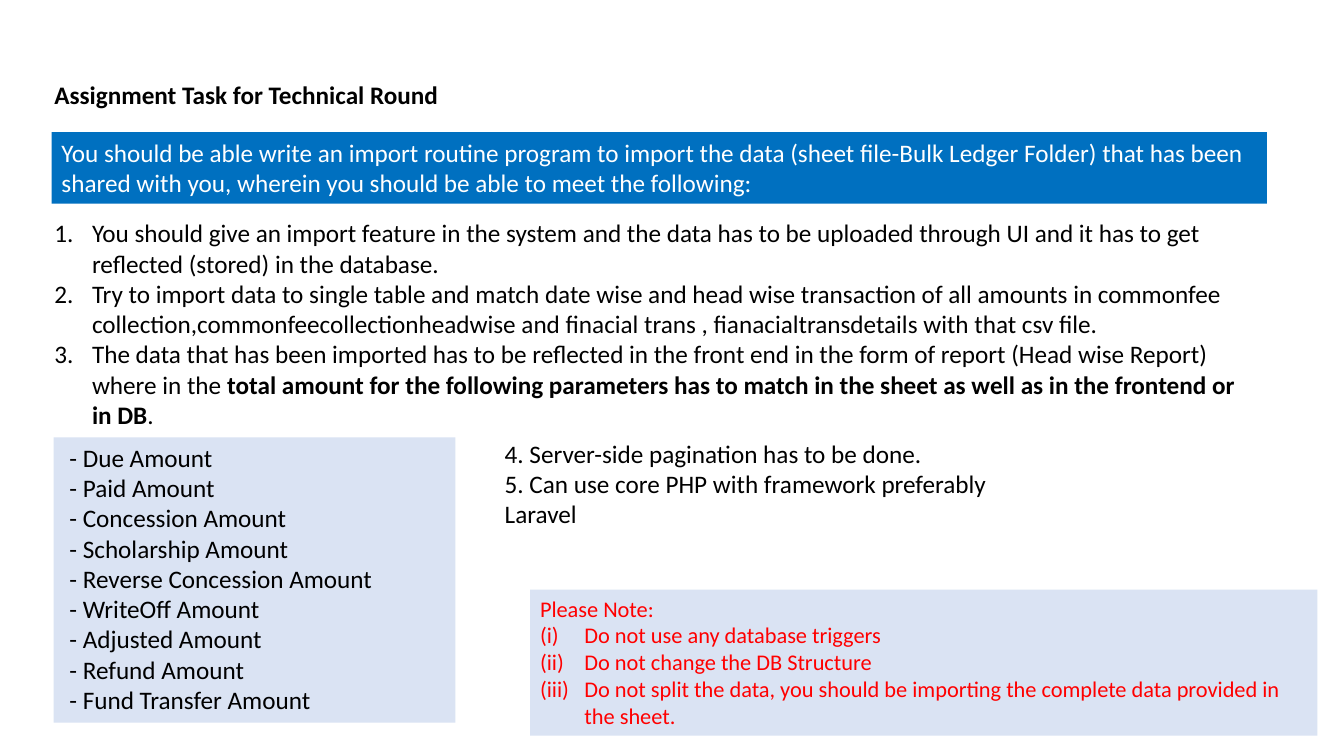
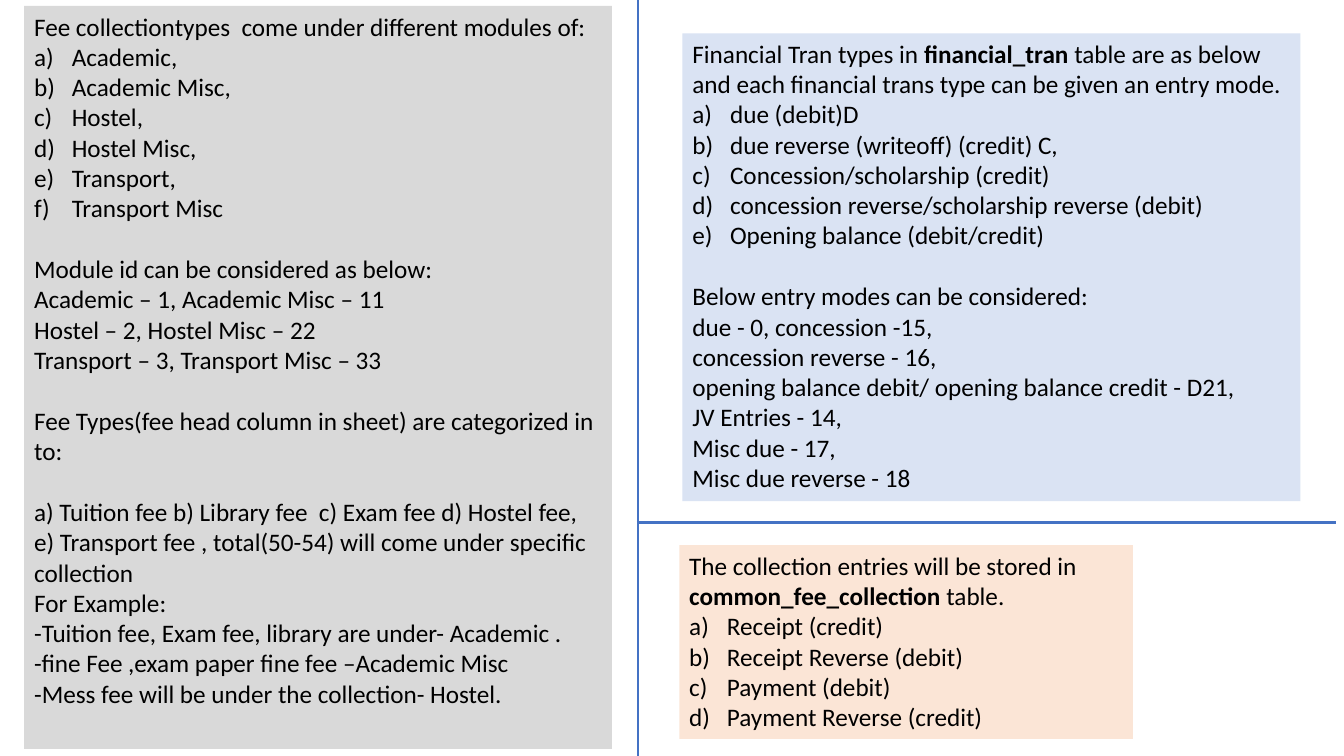
"""Build the two slides of the technical round assignment."""
from dataclasses import dataclass

from lxml.etree import SubElement
from pptx import Presentation
from pptx.dml.color import RGBColor as Color
from pptx.enum.shapes import MSO_CONNECTOR as Connector, MSO_SHAPE as Preset
from pptx.enum.text import MSO_ANCHOR as Anchor, PP_ALIGN as Align
from pptx.oxml.ns import qn
from pptx.util import Cm, Pt


@dataclass(frozen=True)
class Theme:
    """Colours, font and type sizes shared by the slides."""

    font: str = "Calibri"
    body: Pt = Pt(18)
    note: Pt = Pt(16)
    section_gap: Pt = Pt(22)
    rule_width: Pt = Pt(2)
    black: Color = Color(0x00, 0x00, 0x00)
    white: Color = Color(0xFF, 0xFF, 0xFF)
    red: Color = Color(0xFF, 0x00, 0x00)
    blue: Color = Color(0x00, 0x70, 0xC0)
    rule: Color = Color(0x44, 0x72, 0xC4)
    pale_blue: Color = Color(0xDA, 0xE3, 0xF3)
    grey: Color = Color(0xD9, 0xD9, 0xD9)
    peach: Color = Color(0xFB, 0xE5, 0xD6)


theme = Theme()
NUMBERS, LETTERS, ROMAN = "arabicPeriod", "alphaLcParenR", "romanLcParenBoth"
HANGING = {NUMBERS: Cm(0.95), LETTERS: Cm(0.95), ROMAN: Cm(1.12)}


def write_paragraph(paragraph, text, color, size, numbering):
    """Write text whose **marked** parts are bold, numbered if asked."""
    paragraph.alignment = Align.LEFT
    for index, part in enumerate(text.split("**")):
        if part:
            run = paragraph.add_run()
            run.text = part
            run.font.name, run.font.size = theme.font, size
            run.font.bold = index % 2 == 1
            run.font.color.rgb = color
    if numbering:
        properties = paragraph._p.get_or_add_pPr()
        properties.set("marL", str(HANGING[numbering]))
        properties.set("indent", str(-HANGING[numbering]))
        SubElement(properties, qn("a:buAutoNum"), type=numbering)


def add_panel(slide, box, blocks, fill=None, color=theme.black, size=theme.body):
    """Add a text panel from (numbering, gap before, lines) blocks."""
    place = [Cm(length) for length in box]
    if fill is None:
        shape = slide.shapes.add_textbox(*place)
    else:
        shape = slide.shapes.add_shape(Preset.RECTANGLE, *place)
        shape.shadow.inherit = False
        shape.fill.solid()
        shape.fill.fore_color.rgb = fill
        shape.line.fill.background()
    frame = shape.text_frame
    frame.word_wrap = True
    frame.vertical_anchor = Anchor.TOP
    paragraph = frame.paragraphs[0]
    for numbering, gap, lines in blocks:
        for index, line in enumerate(lines):
            if paragraph is None:
                paragraph = frame.add_paragraph()
            if gap and index == 0:
                paragraph.space_before = theme.section_gap
            write_paragraph(paragraph, line, color, size, numbering)
            paragraph = None
    return shape


presentation = Presentation()
presentation.slide_width, presentation.slide_height = Cm(33.87), Cm(19.05)
blank = presentation.slide_layouts[6]

task_slide = presentation.slides.add_slide(blank)
add_panel(task_slide, (1.12, 1.88, 27.56, 1.02), [
    (None, False, ["**Assignment Task for Technical Round**"]),
])
add_panel(task_slide, (13.36, 14.86, 19.84, 3.68), [
    (None, False, ["Please Note:"]),
    (ROMAN, False, [
        "Do not use any database triggers",
        "Do not change the DB Structure",
        "Do not split the data, you should be importing the complete data "
        "provided in the sheet.",
    ]),
], theme.pale_blue, theme.red, theme.note)
amounts = ["Due", "Paid", "Concession", "Scholarship", "Reverse Concession",
           "WriteOff", "Adjusted", "Refund", "Fund Transfer"]
amount_panel = add_panel(task_slide, (1.35, 11.02, 10.13, 7.19), [
    (None, False, [f"- {amount} Amount" for amount in amounts]),
], theme.pale_blue)
amount_panel.text_frame.margin_left = Cm(0.4)
add_panel(task_slide, (1.3, 3.33, 30.63, 1.8), [
    (None, False, [
        "You should be able write an import routine program to import the data "
        "(sheet file-Bulk Ledger Folder) that has been shared with you, wherein "
        "you should be able to meet the following:",
    ]),
], theme.blue, theme.white)
add_panel(task_slide, (1.12, 5.36, 30.86, 5.64), [
    (NUMBERS, False, [
        "You should give an import feature in the system and the data has to be "
        "uploaded through UI and it has to get reflected (stored) in the database.",
        "Try to import data to single table and match date wise and head wise "
        "transaction of all amounts in commonfee "
        "collection,commonfeecollectionheadwise and finacial trans , "
        "fianacialtransdetails with that csv file.",
        "The data that has been imported has to be reflected in the front end in "
        "the form of report (Head wise Report) where in the **total amount for "
        "the following parameters has to match in the sheet as well as in the "
        "frontend or in DB**.",
    ]),
])
add_panel(task_slide, (12.47, 10.92, 13.64, 2.57), [
    (None, False, [
        "4. Server-side pagination has to be done.",
        "5. Can use core PHP with framework preferably Laravel",
    ]),
])

fee_slide = presentation.slides.add_slide(blank)
add_panel(fee_slide, (0.61, 0.15, 14.81, 18.72), [
    (None, False, ["Fee collectiontypes  come under different modules of:"]),
    (LETTERS, False, ["Academic,", "Academic Misc,", "Hostel,", "Hostel Misc,",
                      "Transport,", "Transport Misc"]),
    (None, True, [
        "Module id can be considered as below:",
        "Academic – 1, Academic Misc – 11",
        "Hostel – 2, Hostel Misc – 22",
        "Transport – 3, Transport Misc – 33",
    ]),
    (None, True, ["Fee Types(fee head column in sheet) are categorized in to:"]),
    (None, True, [
        "a) Tuition fee b) Library fee  c) Exam fee d) Hostel fee,",
        "e) Transport fee , total(50-54) will come under specific collection",
        "For Example:",
        "-Tuition fee, Exam fee, library are under- Academic .",
        "-fine Fee ,exam paper fine fee –Academic Misc",
        "-Mess fee will be under the collection- Hostel.",
    ]),
], theme.grey)
add_panel(fee_slide, (17.2, 0.84, 15.57, 11.79), [
    (None, False, [
        "Financial Tran types in **financial_tran **table are as below and each "
        "financial trans type can be given an entry mode.",
    ]),
    (LETTERS, False, [
        "due (debit)D",
        "due reverse (writeoff) (credit) C,",
        "Concession/scholarship (credit)",
        "concession reverse/scholarship reverse (debit)",
        "Opening balance (debit/credit)",
    ]),
    (None, True, [
        "Below entry modes can be considered:",
        "due - 0, concession -15,",
        "concession reverse - 16,",
        "opening balance debit/ opening balance credit - D21,",
        "JV Entries - 14,",
        "Misc due - 17,",
        "Misc due reverse - 18",
    ]),
], theme.pale_blue)
add_panel(fee_slide, (17.12, 13.74, 11.43, 4.88), [
    (None, False, [
        "The collection entries will be stored in **common_fee_collection **table.",
    ]),
    (LETTERS, False, ["Receipt (credit)", "Receipt Reverse (debit)",
                      "Payment (debit)", "Payment Reverse (credit)"]),
], theme.peach)
for ends in ((16.08, 0, 16.08, 19.05), (16.05, 13.16, 33.68, 13.16)):
    divider = fee_slide.shapes.add_connector(
        Connector.STRAIGHT, *[Cm(length) for length in ends])
    divider.line.color.rgb = theme.rule
    divider.line.width = theme.rule_width
    SubElement(divider._element.spPr, qn("a:effectLst"))

presentation.save("out.pptx")
